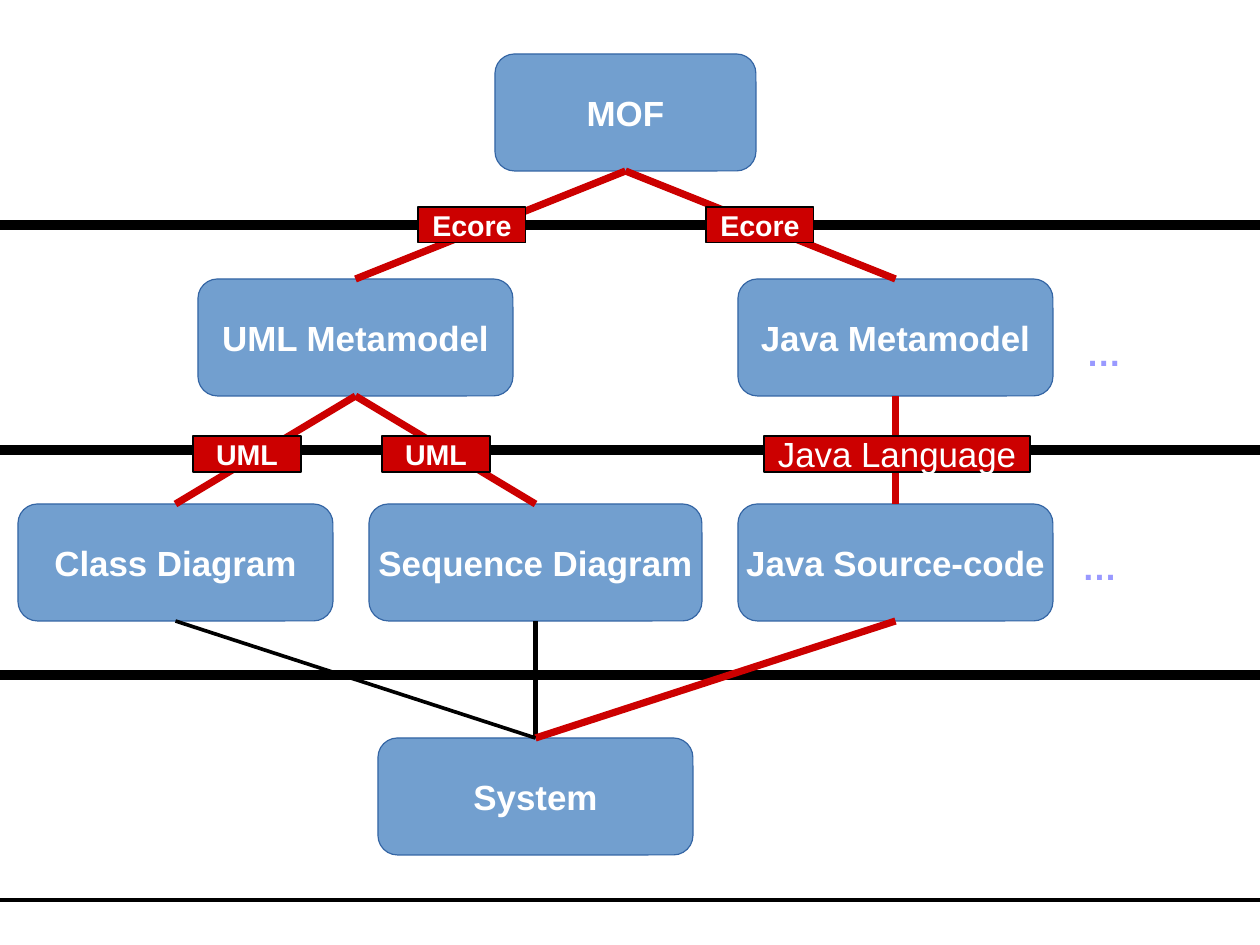
from pptx import Presentation
from pptx.dml.color import RGBColor
from pptx.enum.shapes import MSO_CONNECTOR, MSO_SHAPE
from pptx.enum.text import MSO_ANCHOR, MSO_AUTO_SIZE, PP_ALIGN
from pptx.util import Pt
from lxml import etree

PX = 8000
WIDTH, HEIGHT = 1260, 945
FONT = "Arial"
STRAIGHT = MSO_CONNECTOR.STRAIGHT
RECT, ROUNDED = MSO_SHAPE.RECTANGLE, MSO_SHAPE.ROUNDED_RECTANGLE
MIDDLE, CENTER = MSO_ANCHOR.MIDDLE, PP_ALIGN.CENTER
GROW = MSO_AUTO_SIZE.SHAPE_TO_FIT_TEXT
TOP, BOTTOM = 0, 2
A_NS = "http://schemas.openxmlformats.org/drawingml/2006/main"
COLORS = {
    "black": "000000",
    "white": "FFFFFF",
    "box": "729FCF",
    "edge": "3465A4",
    "red": "CC0000",
    "dots": "9999FF",
}


class Diagram:
    def __init__(self, slide):
        self.s = slide

    def color(self, name):
        return RGBColor.from_string(COLORS[name])

    def emu(self, *lengths):
        return [n * PX for n in lengths]

    def text(self, tf, text, size, color, bold=True):
        tf.word_wrap = False
        p = tf.paragraphs[0]
        r = p.add_run()
        r.text = text
        r.font.name = FONT
        r.font.size = Pt(size)
        r.font.bold = bold
        r.font.color.rgb = self.color(color)
        return p

    def shape(self, kind, bounds, text, fill, edge, size, bold=True):
        sp = self.s.shapes.add_shape(kind, *self.emu(*bounds))
        sp.shadow.inherit = False
        sp.fill.solid()
        sp.fill.fore_color.rgb = self.color(fill)
        sp.line.color.rgb = self.color(edge)
        sp.line.width = Pt(0)
        tf = sp.text_frame
        tf.vertical_anchor = MIDDLE
        self.text(tf, text, size, "white", bold).alignment = CENTER
        return sp

    def box(self, text, x, y, w=315):
        return self.shape(ROUNDED, (x, y, w, 117), text, "box", "edge", 22)

    def badge(self, text, x, y, w=108, size=18, bold=True):
        self.shape(RECT, (x, y, w, 36), text, "red", "black", size, bold)

    def dots(self, x, y):
        tf = self.s.shapes.add_textbox(*self.emu(x, y, 57, 50)).text_frame
        self.text(tf, "…", 22, "dots")
        tf.auto_size = GROW

    def line(self, x1, y1, x2, y2, color, width):
        cx = self.s.shapes.add_connector(STRAIGHT, *self.emu(x1, y1, x2, y2))
        cx.line.color.rgb = self.color(color)
        cx.line.width = Pt(width)
        etree.SubElement(cx._element.spPr, f"{{{A_NS}}}effectLst")
        return cx

    def link(self, upper, lower, color="red", width=4.5):
        cx = self.line(0, 0, 0, 0, color, width)
        cx.begin_connect(upper, BOTTOM)
        cx.end_connect(lower, TOP)


def main():
    prs = Presentation()
    prs.slide_width, prs.slide_height = WIDTH * PX, HEIGHT * PX
    d = Diagram(prs.slides.add_slide(prs.slide_layouts[6]))

    for level, width in enumerate((6, 6, 6, 0), 1):
        d.line(0, 225 * level, WIDTH, 225 * level, "black", width)

    mof = d.box("MOF", 495, 54, 261)
    uml = d.box("UML Metamodel", 198, 279)
    java = d.box("Java Metamodel", 738, 279)
    class_diagram = d.box("Class Diagram", 18, 504)
    sequence = d.box("Sequence Diagram", 369, 504, 333)
    source_code = d.box("Java Source-code", 738, 504)
    system = d.box("System", 378, 738)

    d.dots(1075, 326)
    d.dots(1071, 540)

    for upper, lower in ((mof, uml), (mof, java), (uml, class_diagram),
                         (uml, sequence), (java, source_code)):
        d.link(upper, lower)
    d.link(sequence, system, "black", 3)
    d.link(source_code, system)
    d.link(class_diagram, system, "black", 2.3)

    for text, x, y in (("Ecore", 418, 207), ("Ecore", 706, 207),
                       ("UML", 193, 436), ("UML", 382, 436)):
        d.badge(text, x, y)
    d.badge("Java Language", 764, 436, 266, 22, False)

    prs.save("out.pptx")


if __name__ == "__main__":
    main()
